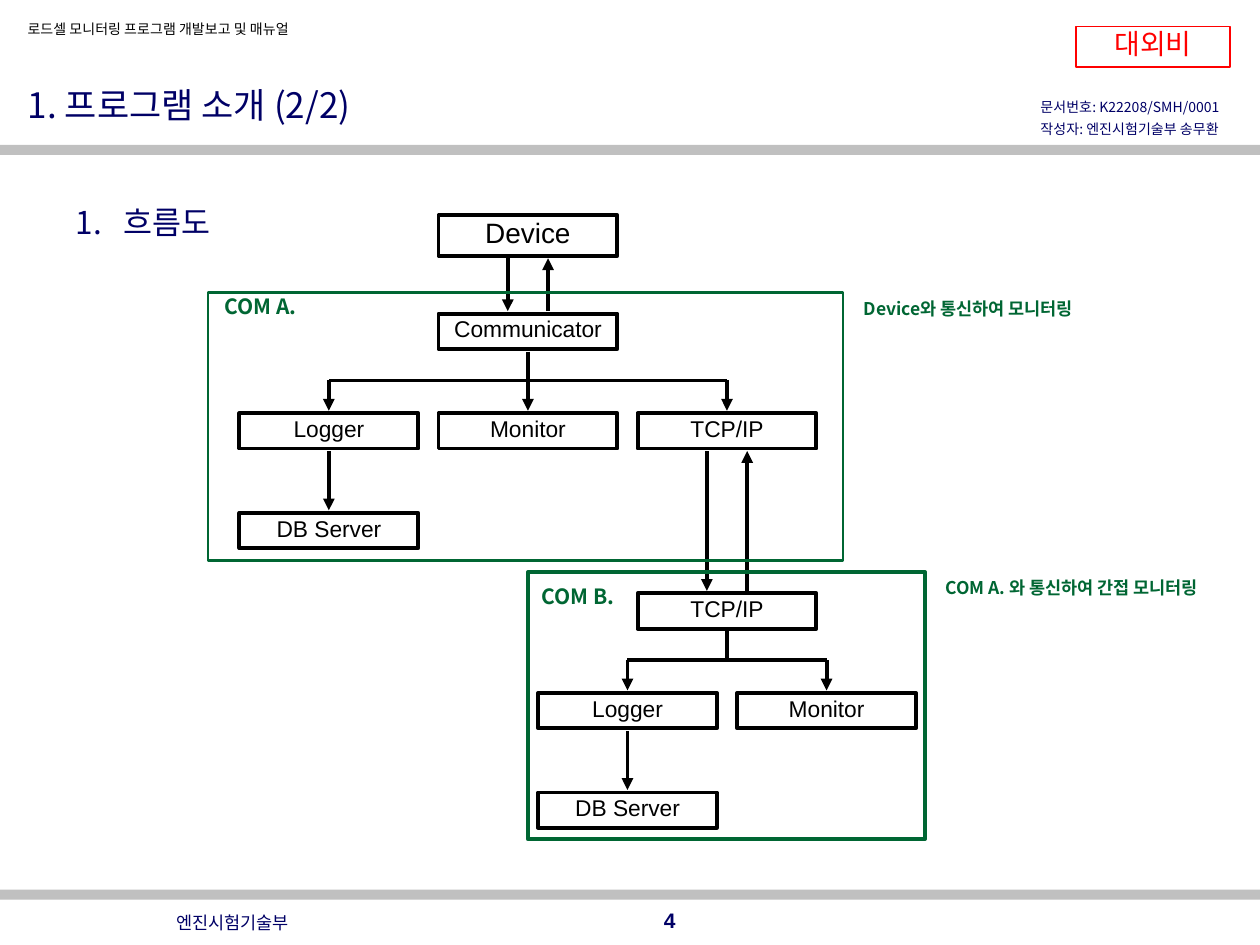
import pptx
import pptx.util
import pptx.dml.color
import pptx.enum.shapes
import pptx.enum.text
import pptx.oxml.ns
from lxml import etree

Inch, Pt = pptx.util.Inches, pptx.util.Pt
hue = pptx.dml.color.RGBColor.from_string
tag = pptx.oxml.ns.qn
Align, Anchor = pptx.enum.text.PP_ALIGN, pptx.enum.text.MSO_ANCHOR
RECT = pptx.enum.shapes.MSO_SHAPE.RECTANGLE
STRAIGHT = pptx.enum.shapes.MSO_CONNECTOR.STRAIGHT
KOR, LAT = "Noto Sans CJK KR", "Arial"
NAVY, GREEN, BLACK, RED, GRAY = "000066", "006633", "000000", "FF0000", "C0C0C0"


def write(shape, text, size=13, color=BLACK, font=KOR, bold=False, align=Align.LEFT,
          anchor=Anchor.TOP, space=0.8, before=0, wrap=True):
    frame = shape.text_frame
    frame.text = text
    frame.word_wrap = wrap
    frame.auto_size = pptx.enum.text.MSO_AUTO_SIZE.NONE
    frame.vertical_anchor = anchor
    for para in frame.paragraphs:
        para.alignment = align
        para.line_spacing = space
        para.space_before = Pt(before)
        for run in para.runs:
            run.font.size = Pt(size)
            run.font.bold = bold
            run.font.color.rgb = hue(color)
            run.font.name = font
            etree.SubElement(run._r.get_or_add_rPr(), tag("a:ea"), typeface=KOR)


deck = pptx.Presentation()
deck.slide_width, deck.slide_height = Inch(10), Inch(7.5)
slide = deck.slides.add_slide(deck.slide_layouts[1])
shapes = slide.shapes

# Title and numbered heading
title, body = slide.placeholders
for holder, text, size, anchor, area in (
    (title, "1. 프로그램 소개 (2/2)", 20, Anchor.MIDDLE, (0.12, 0.41, 8, 0.74)),
    (body, "흐름도", 18, Anchor.TOP, (0.5, 1.47, 9, 5.23)),
):
    holder.left, holder.top, holder.width, holder.height = map(Inch, area)
    write(holder, text, size=size, color=NAVY, anchor=anchor, space=1.3)
props = body.text_frame.paragraphs[0]._p.get_or_add_pPr()
props.set("marL", str(Inch(0.38)))
props.set("indent", str(-Inch(0.38)))
tint = etree.SubElement(props, tag("a:buClr"))
etree.SubElement(tint, tag("a:srgbClr"), val=NAVY)
etree.SubElement(props, tag("a:buFont"), typeface=KOR)
etree.SubElement(props, tag("a:buAutoNum"), type="arabicPeriod")

# Chart grid: columns are box centres, rows are box tops
STEP, LEFT, TOP = 0.79, 2.61, 2.49
WIDE, HIGH = 1.42, 0.28
col = [LEFT + STEP * i for i in range(6)]
row_a = [TOP + STEP * i for i in range(3)]
row_b = [TOP + STEP * (i + 2.81) for i in range(3)]
bus_a, bus_b = row_a[1] - 0.26, row_b[1] - 0.26
GAP, SIDE = 0.02, 0.16

# Lines: x1, y1, x2, y2, arrowhead at the end
lines = [
    (col[2] - SIDE, 2.05, col[2] - SIDE, TOP - GAP, True),
    (col[2] + SIDE, TOP - GAP, col[2] + SIDE, 2.05, True),
    (col[4] - SIDE, row_a[1] + 0.3, col[4] - SIDE, row_b[0] - GAP, True),
    (col[4] + SIDE, row_b[0] - GAP, col[4] + SIDE, row_a[1] + 0.3, True),
    (col[0], bus_a, col[4], bus_a, False),
    (col[2], TOP + 0.3, col[2], bus_a, False),
    (col[3], bus_b, col[5], bus_b, False),
    (col[4], row_b[0] + 0.3, col[4], bus_b, False),
]
for bus, rows, ends in ((bus_a, row_a, (0, 2, 4)), (bus_b, row_b, (3, 5))):
    lines += [(col[i], bus, col[i], rows[1] - GAP, True) for i in ends]
    mid = col[ends[0]]
    lines.append((mid, rows[1] + 0.3, mid, rows[2] - GAP, True))
for *ends, arrow in lines:
    link = shapes.add_connector(STRAIGHT, *map(Inch, ends))
    link.line.color.rgb = hue(BLACK)
    link.line.width = Pt(2.25)
    if arrow:
        etree.SubElement(link.line._get_or_add_ln(), tag("a:tailEnd"), type="triangle")
    etree.SubElement(link._element.spPr, tag("a:effectLst"))

# Rectangles: area, fill, line, weight, text, text size
rects = [
    ((0, 1.15, 10, 0.08), GRAY, None, 0, "", 0),
    ((0, 7.06, 10, 0.08), GRAY, None, 0, "", 0),
    ((8.54, 0.21, 1.22, 0.32), None, RED, 1, "대외비", 16),
    ((col[2] - WIDE / 2, 1.71, WIDE, 0.32), None, BLACK, 2.25, "Device", 16),
]
for i, top, text in (
    (2, row_a[0], "Communicator"),
    (0, row_a[1], "Logger"), (2, row_a[1], "Monitor"), (4, row_a[1], "TCP/IP"),
    (0, row_a[2], "DB Server"),
    (4, row_b[0], "TCP/IP"),
    (3, row_b[1], "Logger"), (5, row_b[1], "Monitor"),
    (3, row_b[2], "DB Server"),
):
    rects.append(((col[i] - WIDE / 2, top, WIDE, HIGH), None, BLACK, 2.25, text, 13))
rects += [
    ((1.65, 2.32, 5.04, 2.13), None, GREEN, 1.5, "", 0),
    ((4.19, 4.54, 3.15, 2.12), None, GREEN, 2.25, "", 0),
]
for area, fill, edge, weight, text, size in rects:
    box = shapes.add_shape(RECT, *map(Inch, area))
    box.shadow.inherit = False
    if fill:
        box.fill.solid()
        box.fill.fore_color.rgb = hue(fill)
    else:
        box.fill.background()
    if edge:
        box.line.color.rgb = hue(edge)
        box.line.width = Pt(weight)
    else:
        box.line.fill.background()
    if text:
        write(box, text, size=size, color=RED if edge == RED else BLACK, font=LAT,
              align=Align.CENTER, anchor=Anchor.MIDDLE)

# Page texts and notes beside the frames
label = dict(size=12, color=GREEN, bold=True, align=Align.CENTER, wrap=False)
note = dict(label, size=10)
for area, text, form in (
    ((0.12, 0.14, 4.09, 0.21), "로드셀 모니터링 프로그램 개발보고 및 매뉴얼", dict(size=8)),
    ((8.16, 0.76, 1.84, 0.38), "문서번호: K22208/SMH/0001\n작성자: 엔진시험기술부 송무환",
     dict(size=8, color=NAVY, before=5)),
    ((1.3, 7.19, 1.45, 0.26), "엔진시험기술부",
     dict(size=10, color=NAVY, anchor=Anchor.MIDDLE, space=1)),
    ((4.54, 7.1, 0.92, 0.4), "4",
     dict(size=12, color=NAVY, font=LAT, bold=True, align=Align.RIGHT,
          anchor=Anchor.MIDDLE, space=1)),
    ((1.67, 2.32, 0.8, 0.26), "COM A.", label),
    ((4.19, 4.62, 0.8, 0.26), "COM B.", label),
    ((6.71, 2.35, 1.95, 0.24), "Device와 통신하여 모니터링", dict(note, wrap=True)),
    ((7.37, 4.56, 2.27, 0.24), "COM A. 와 통신하여 간접 모니터링", note),
):
    write(shapes.add_textbox(*map(Inch, area)), text, **form)

deck.save("out.pptx")
